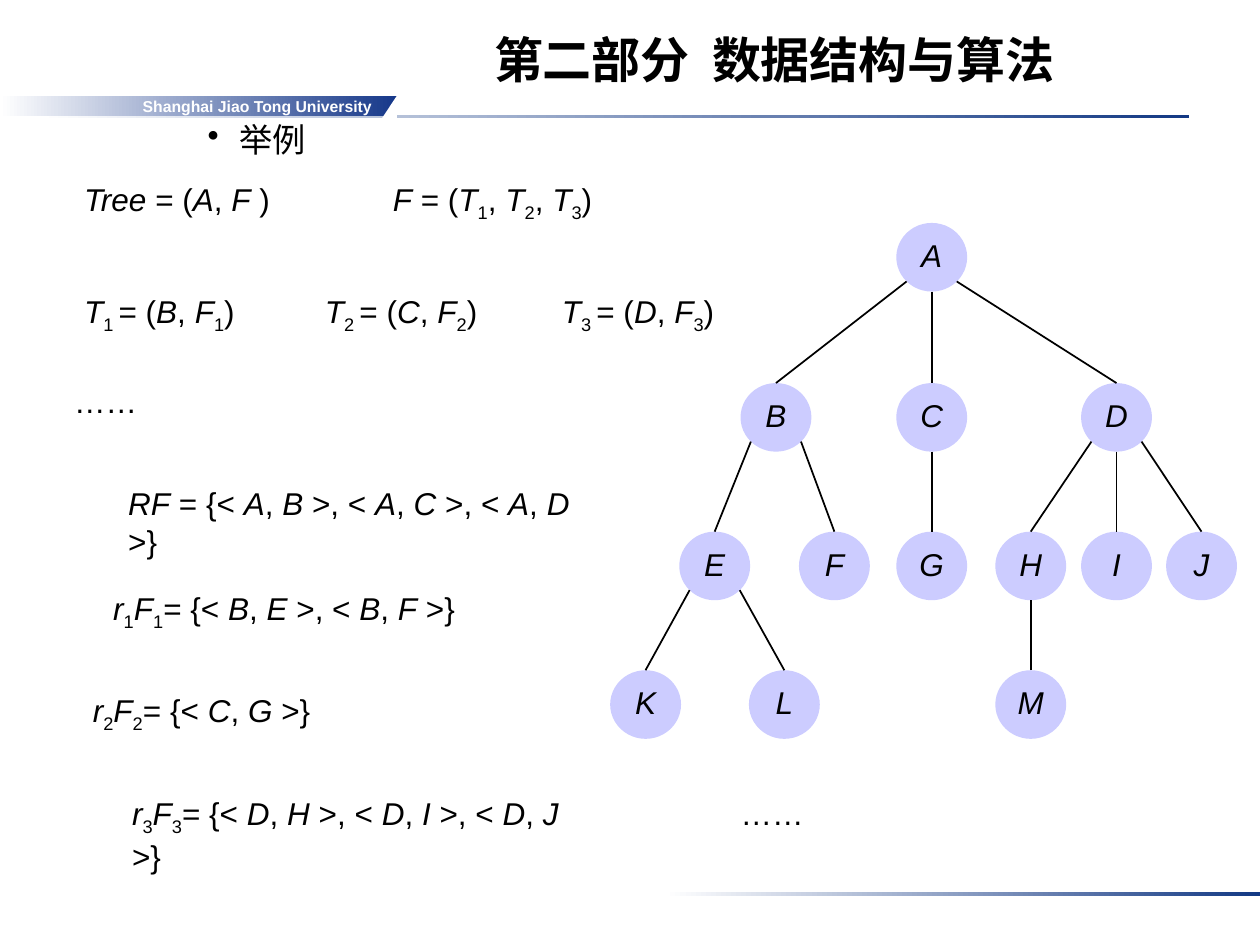
from itertools import groupby
from math import sqrt

from lxml import etree
from pptx import Presentation
from pptx.dml.color import RGBColor
from pptx.enum import shapes, text
from pptx.oxml.ns import qn
from pptx.util import Pt

FONT, BLACK, WHITE = "Arial", "000000", "FFFFFF"
NODE_FILL = "CCCCFF"
TITLE = "第二部分  数据结构与算法"
SCHOOL = "Shanghai Jiao Tong University"
BULLET = "举例"

# Letters are set in italics and digits as subscripts: (left, top, width, height, line spacing, text)
FORMULAS = [
    (41, 99.4, 126.7, 28.8, 1, "Tree = (A, F )"),
    (217.4, 99.4, 133.2, 31.7, 1, "F = (T1, T2, T3)"),
    (41, 163.4, 110.2, 31.7, 1, "T1 = (B, F1)"),
    (178.6, 163.4, 111.6, 31.7, 1, "T2 = (C, F2)"),
    (314, 163.4, 111.6, 31.7, 1, "T3 = (D, F3)"),
    (35.3, 214.6, 55.4, 28.8, 1, "……"),
    (66.2, 272.9, 286.6, 31.7, 1, "RF = {< A, B >, < A, C >, < A, D >}"),
    (57.6, 333.4, 210.2, 29.5, 0.9, "r1F1= {< B, E >, < B, F >}"),
    (46, 391.7, 141.1, 29.5, 0.9, "r2F2= {< C, G >}"),
    (68.4, 450, 277.9, 31.7, 1, "r3F3= {< D, H >, < D, I >, < D, J >}"),
    (416.2, 450, 55.4, 28.8, 1, "……"),
]

NODE_WIDTH, NODE_HEIGHT = 40.5, 39.2
# Top of each tree level, with the centre of each node
LEVELS = [
    (127.4, {"A": 532.4}),
    (218.9, {"B": 443.4, "C": 532.4, "D": 638}),
    (303.8, {"E": 408.4, "F": 476.8, "G": 532.4, "H": 589, "I": 638, "J": 686.6}),
    (383, {"K": 368.9, "L": 448.2, "M": 589}),
]
CHILDREN = {"A": "BCD", "B": "EF", "C": "G", "D": "HIJ", "E": "KL", "H": "M"}


def color(value):
    return RGBColor.from_string(value)


def set_font(font, size, value=BLACK, bold=False):
    font.name, font.size, font.bold = FONT, Pt(size), bold
    font.color.rgb = color(value)


def add_shape(slide, kind, left, top, width, height, fill):
    """Add a borderless shape; a tuple of two colours fills it from left to right."""
    shape = slide.shapes.add_shape(kind, Pt(left), Pt(top), Pt(width), Pt(height))
    shape.shadow.inherit = False
    shape.line.fill.background()
    if isinstance(fill, tuple):
        shape.fill.gradient()
        shape.fill.gradient_angle = 0
        for stop, value in zip(shape.fill.gradient_stops, fill):
            stop.color.rgb = color(value)
    else:
        shape.fill.solid()
        shape.fill.fore_color.rgb = color(fill)
    return shape


def add_text_box(slide, left, top, width, height):
    box = slide.shapes.add_textbox(Pt(left), Pt(top), Pt(width), Pt(height))
    box.text_frame.word_wrap = True
    return box.text_frame


def add_banner(slide):
    rectangle = shapes.MSO_SHAPE.RECTANGLE
    add_shape(slide, rectangle, 22.3, 65.5, 657.4, 2.2, (WHITE, "133984"))
    add_shape(slide, rectangle, 380.2, 509.8, 339.8, 2.2, (WHITE, "133984"))
    banner = add_shape(slide, rectangle, 0, 54.7, 226.8, 11.5, (WHITE, "16388A"))
    frame = banner.text_frame
    frame.word_wrap = False
    frame.margin_right = Pt(14.4)
    frame.vertical_anchor = text.MSO_ANCHOR.MIDDLE
    paragraph = frame.paragraphs[0]
    paragraph.text = SCHOOL
    paragraph.alignment = text.PP_ALIGN.RIGHT
    set_font(paragraph.font, 9, WHITE, bold=True)
    corner = add_shape(slide, shapes.MSO_SHAPE.RIGHT_TRIANGLE, 218.2, 54.7, 8.6, 13, WHITE)
    corner._element.spPr.xfrm.set("flipH", "1")


def add_headings(slide):
    frame = add_text_box(slide, 186.5, 0, 511.9, 54)
    frame.vertical_anchor = text.MSO_ANCHOR.BOTTOM
    title = frame.paragraphs[0]
    title.text = TITLE
    title.alignment = text.PP_ALIGN.CENTER
    set_font(title.font, 28, bold=True)

    bullet = add_text_box(slide, 25.2, 64.8, 666, 435.6).paragraphs[0]
    bullet.text = BULLET
    properties = bullet._p.get_or_add_pPr()
    properties.set("marL", str(Pt(104.4)))
    properties.set("indent", str(Pt(-18)))
    etree.SubElement(properties, qn("a:buChar")).set("char", "•")
    set_font(bullet.font, 19)


def character_kinds(formula):
    """Pair each character with its kind; a space after a digit belongs to the subscript."""
    kind = "plain"
    for character in formula:
        if character.isdigit():
            kind = "subscript"
        elif character.isalpha():
            kind = "italic"
        elif not (character == " " and kind == "subscript"):
            kind = "plain"
        yield kind, character


def add_formula(slide, left, top, width, height, spacing, formula):
    frame = add_text_box(slide, left, top, width, height)
    frame.word_wrap = False
    frame.auto_size = text.MSO_AUTO_SIZE.SHAPE_TO_FIT_TEXT
    paragraph = frame.paragraphs[0]
    paragraph.line_spacing = spacing
    set_font(paragraph.font, 18)
    for kind, pairs in groupby(character_kinds(formula), key=lambda pair: pair[0]):
        run = paragraph.add_run()
        run.text = "".join(character for _, character in pairs)
        set_font(run.font, 18)
        run.font.italic = kind == "italic"
        if kind == "subscript":
            run.font._element.set("baseline", "-25000")


def add_node(slide, name, center, top):
    node = add_shape(slide, shapes.MSO_SHAPE.OVAL, center - NODE_WIDTH / 2, top,
                     NODE_WIDTH, NODE_HEIGHT, NODE_FILL)
    frame = node.text_frame
    frame.word_wrap = False
    frame.vertical_anchor = text.MSO_ANCHOR.MIDDLE
    paragraph = frame.paragraphs[0]
    paragraph.text = name
    paragraph.alignment = text.PP_ALIGN.CENTER
    paragraph.line_spacing = 0.9
    set_font(paragraph.font, 18)
    paragraph.font.italic = True
    return node


def add_edge(slide, parent, child):
    """Join the parent's bottom, or its lower diagonal point, to the child's top."""
    center = parent.left + parent.width // 2
    offset = child.left + child.width // 2 - center
    side = 0 if abs(offset) < Pt(2) else offset // abs(offset)
    reach = 1 / sqrt(2) if side else 1
    start_x = center + int(side * reach * parent.width / 2)
    start_y = parent.top + int((1 + reach) * parent.height / 2)
    edge = slide.shapes.add_connector(shapes.MSO_CONNECTOR.STRAIGHT, start_x, start_y,
                                      center + offset, child.top)
    edge.end_connect(child, 0)
    edge.line.color.rgb = color(BLACK)
    edge.line.width = Pt(1)
    etree.SubElement(edge._element.spPr, qn("a:effectLst"))


def main():
    presentation = Presentation()
    presentation.slide_width, presentation.slide_height = Pt(720), Pt(540)
    slide = presentation.slides.add_slide(presentation.slide_layouts[6])
    add_banner(slide)
    add_headings(slide)
    for formula in FORMULAS:
        add_formula(slide, *formula)
    nodes = {name: add_node(slide, name, center, top)
             for top, level in LEVELS for name, center in level.items()}
    for parent, children in CHILDREN.items():
        for child in children:
            add_edge(slide, nodes[parent], nodes[child])
    presentation.save("out.pptx")


if __name__ == "__main__":
    main()
